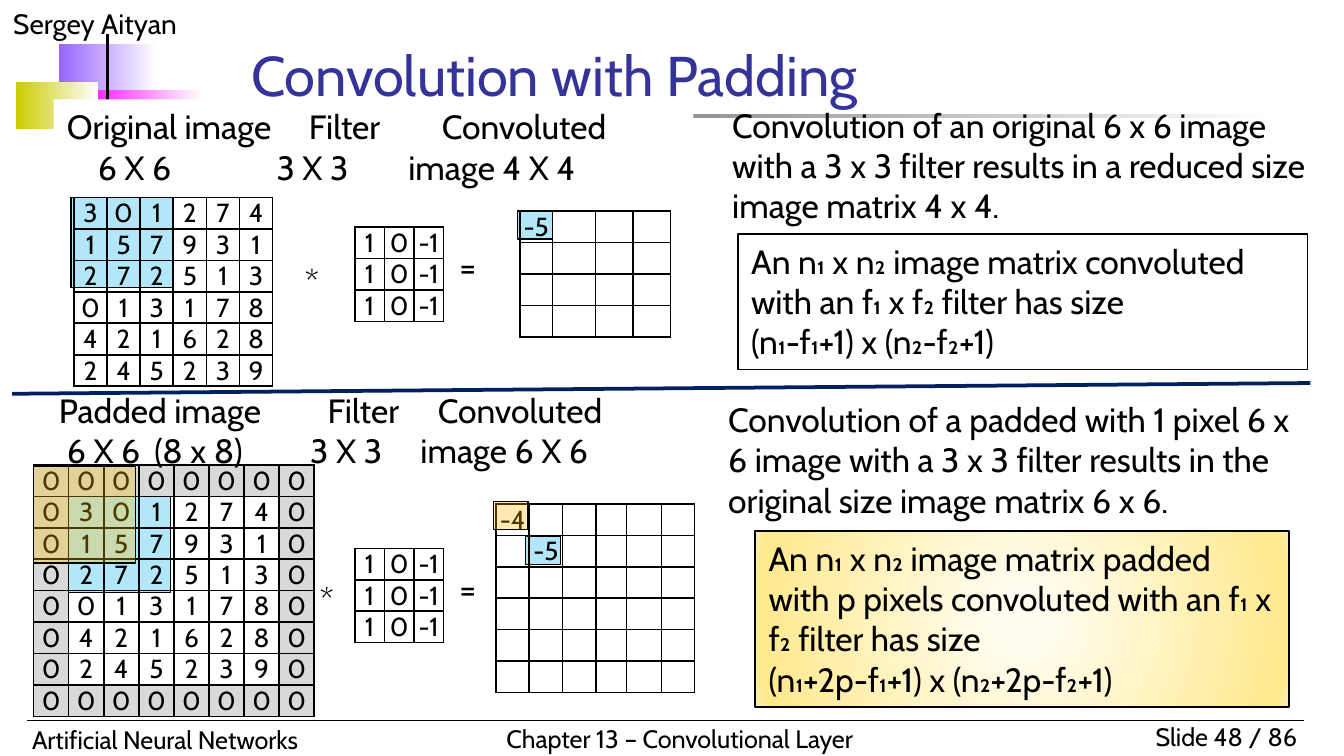
"""Build the slide that compares convolution with and without padding."""
from lxml import etree
from pptx import Presentation
from pptx.dml.color import RGBColor
from pptx.enum.shapes import MSO_CONNECTOR, MSO_SHAPE
from pptx.enum.text import MSO_ANCHOR, PP_ALIGN
from pptx.oxml.ns import qn
from pptx.util import Inches, Pt

LEFT, CENTER, RIGHT = PP_ALIGN.LEFT, PP_ALIGN.CENTER, PP_ALIGN.RIGHT
TOP, BOTTOM = MSO_ANCHOR.TOP, MSO_ANCHOR.BOTTOM
RECTANGLE, STRAIGHT = MSO_SHAPE.RECTANGLE, MSO_CONNECTOR.STRAIGHT

THEME = {
    "font": "Cabin", "title": 30, "body": 18, "author": 15, "cell": 14, "footer": 13.5,
    "ink": "000000", "heading": "333399", "paper": "FFFFFF", "divider": "002060",
    "padding": "D9D9D9", "blue": "00B0F0", "amber": "FFC000",
    "glow": [(8, "FFFDF2"), (95, "FFE98D"), (100, "FFF1B3")],
}

IMAGE = ["301274", "157931", "272513", "013178", "421628", "245239"]
PADDED = ["0" * 8] + [f"0{row}0" for row in IMAGE] + ["0" * 8]
FILTER = [["1", "0", "-1"]] * 3
REDUCED = [["-5", "", "", ""]] + [[""] * 4] * 3
SAME_SIZE = [["-4"] + [""] * 5, ["", "-5"] + [""] * 4] + [[""] * 6] * 4

ORNAMENTS = [
    ((0.44, 0.33, 0.73, 0.39), "9966FF"),
    ((0.57, 0.67, 0.93, 0.39), "FF00FF"),
    ((0.12, 0.61, 0.61, 0.35), "CCCC00"),
    ((0.48, 0.85, 9, 0.03), "1C1C1C"),
]
FRAME_TEXTS = [
    ("Sergey Aityan", (0, 0, 2.5, 0.35), {"size": THEME["author"]}),
    ("Slide 48 / 86", (8.25, 5.32, 1.5, 0.33), {"size": THEME["footer"], "align": RIGHT}),
    ("Artificial Neural Networks", (0.14, 5.34, 3.7, 0.33), {"size": THEME["footer"]}),
    ("Chapter 13 – Convolutional Layer", (3.67, 5.33, 2.99, 0.33),
     {"size": THEME["footer"], "wrap": False}),
    ("Convolution with Padding", (1.77, 0.31, 6.73, 0.54),
     {"size": THEME["title"], "color": THEME["heading"], "anchor": BOTTOM}),
]
BODY_TEXTS = [
    ("Convolution of an original 6 x 6 image with a 3 x 3 filter results in "
     "a reduced size image matrix 4 x 4.", (5.35, 0.73, 4.56, 1.01)),
    ("Convolution of a padded with 1 pixel 6 x 6 image with a 3 x 3 filter results in "
     "the original size image matrix 6 x 6.", (5.32, 2.92, 4.52, 1.01)),
    ("*", (2.17, 1.89, 0.44, 0.4)),
    ("=", (3.32, 1.78, 0.44, 0.4)),
    ("*", (2.28, 4.26, 0.44, 0.4)),
    ("=", (3.32, 4.18, 0.44, 0.4)),
]
ORIGINAL_HEADING = ("Original image\tFilter\tConvoluted\n\t6 X 6\t3 X 3\timage 4 X 4",
                    (0.4, 0.74, 4.76, 0.71), [(1.8, 2.79), (0.23, 1.56, 2.54)])
PADDED_HEADING = ("Padded image\tFilter\tConvoluted\n\t6 X 6\t(8 x 8)\t3 X 3\timage 6 X 6",
                  (0.34, 2.85, 4.76, 0.71), [(2, 2.82), (0.06, 0.71, 1.87, 2.69)])
MATRICES = [
    (FILTER, (2.64, 1.69), 0.66, [1] * 3),
    (REDUCED, (3.87, 1.57), 1.12, [0.24, 0.32, 0.28, 0.28]),
    (SAME_SIZE, (3.69, 3.75), 1.48, [0.25, 0.25, 0.25, 0.23, 0.26, 0.25]),
    (FILTER, (2.64, 4.08), 0.66, [1] * 3),
    (PADDED, (0.25, 3.46), 2.09, [1] * 8),
    (IMAGE, (0.55, 1.47), 1.48, [1] * 6),
]
ROW_HEIGHT = 0.23
BLUE_WINDOWS = [(3.85, 1.57, 0.26, 0.21), (0.53, 1.47, 0.76, 0.67),
                (0.51, 3.69, 0.76, 0.72), (3.91, 3.99, 0.26, 0.21)]
AMBER_WINDOWS = [(0.25, 3.47, 0.76, 0.72), (3.67, 3.73, 0.26, 0.21)]
PADDED_RULE = ("An n₁ x n₂ image matrix padded with p pixels convoluted with an f₁ x f₂ "
               "filter has size \v(n₁+2p-f₁+1) x (n₂+2p-f₂+1)", (5.62, 3.95, 3.97, 1.31))
PLAIN_RULE = ("An n₁ x n₂ image matrix convoluted with an f₁ x f₂ filter has size "
              "\v(n₁-f₁+1) x (n₂-f₂+1)", (5.49, 1.74, 4.24, 1.01))


def inches(values):
    return [Inches(value) for value in values]


def add_xml(parent, tag, **attributes):
    values = {name: str(value) for name, value in attributes.items()}
    return etree.SubElement(parent, qn(tag), values)


def write(frame, text, size=THEME["body"], color=THEME["ink"], align=LEFT,
          anchor=TOP, wrap=True, tabs=()):
    frame.word_wrap, frame.vertical_anchor = wrap, anchor
    frame.text = text
    for index, para in enumerate(frame.paragraphs):
        para.alignment = align
        if tabs:
            stops = add_xml(para._p.get_or_add_pPr(), "a:tabLst")
            for position in tabs[index]:
                add_xml(stops, "a:tab", pos=Inches(position), algn="l")
        for span in para.runs:
            span.font.name, span.font.size = THEME["font"], Pt(size)
            span.font.color.rgb = RGBColor.from_string(color)


def add_text(page, text, place, **style):
    write(page.shapes.add_textbox(*inches(place)).text_frame, text, **style)


def add_box(page, place, fill=None, line=None, alpha=None):
    box = page.shapes.add_shape(RECTANGLE, *inches(place))
    box.shadow.inherit = False
    if fill:
        box.fill.solid()
        box.fill.fore_color.rgb = RGBColor.from_string(fill)
    else:
        box.fill.background()
    if alpha:
        solid = box._element.spPr.find(qn("a:solidFill"))
        add_xml(solid[0], "a:alpha", val=alpha * 1000)
    if line:
        box.line.color.rgb = RGBColor.from_string(THEME["ink"])
        box.line.width = Pt(line)
    else:
        box.line.fill.background()
    return box


def set_gradient(box, stops, radial=False):
    box.fill.gradient()
    gradient = box._element.spPr.find(qn("a:gradFill"))
    for child in list(gradient):
        gradient.remove(child)
    stop_list = add_xml(gradient, "a:gsLst")
    for position, color in stops:
        add_xml(add_xml(stop_list, "a:gs", pos=position * 1000), "a:srgbClr", val=color)
    if radial:
        circle = add_xml(gradient, "a:path", path="circle")
        add_xml(circle, "a:fillToRect", l=50000, t=50000, r=50000, b=50000)
    else:
        add_xml(gradient, "a:lin", ang=0, scaled=1)


def add_line(page, ends, color, width):
    line = page.shapes.add_connector(STRAIGHT, *inches(ends))
    line.line.color.rgb = RGBColor.from_string(color)
    line.line.width = Pt(width)
    add_xml(line._element.spPr, "a:effectLst")


def format_cell(cell, text, fill):
    cell.margin_left = cell.margin_right = cell.margin_top = cell.margin_bottom = 0
    write(cell.text_frame, text, size=THEME["cell"], align=CENTER)
    if not text:
        add_xml(cell.text_frame.paragraphs[0]._p, "a:endParaRPr", sz=THEME["cell"] * 100)
    properties = cell._tc.get_or_add_tcPr()
    for side in ("a:lnL", "a:lnR", "a:lnT", "a:lnB"):
        border = add_xml(properties, side, w=Pt(1))
        add_xml(add_xml(border, "a:solidFill"), "a:srgbClr", val=THEME["ink"])
    if fill:
        cell.fill.solid()
        cell.fill.fore_color.rgb = RGBColor.from_string(fill)
    else:
        cell.fill.background()


def add_matrix(page, rows, corner, width, shares):
    size = (width, ROW_HEIGHT * len(rows))
    table = page.shapes.add_table(len(rows), len(shares), *inches(corner + size)).table
    table.first_row = table.horz_banding = False
    for column, share in zip(table.columns, shares):
        column.width = Inches(width * share / sum(shares))
    for r, row in enumerate(rows):
        for c, text in enumerate(row):
            edge = r in (0, len(rows) - 1) or c in (0, len(row) - 1)
            fill = THEME["padding"] if rows is PADDED and edge else None
            format_cell(table.cell(r, c), text, fill)


def main():
    deck = Presentation()
    deck.slide_width = Inches(10)
    deck.slide_height = deck.slide_width * 9 // 16
    page = deck.slides.add_slide(deck.slide_layouts[6])
    for place, color in ORNAMENTS:
        set_gradient(add_box(page, place), [(0, color), (100, THEME["paper"])])
    add_line(page, (0.2, 5.36, 9.7, 5.36), THEME["ink"], 0.75)
    add_line(page, (0.8, 0.25, 0.8, 1.05), THEME["ink"], 2)
    for text, place, style in FRAME_TEXTS:
        add_text(page, text, place, **style)
    for text, place in BODY_TEXTS:
        add_text(page, text, place)
    text, place, tabs = ORIGINAL_HEADING
    write(add_box(page, place, THEME["paper"]).text_frame, text, tabs=tabs)
    for place in BLUE_WINDOWS:
        add_box(page, place, THEME["blue"], 0.75, alpha=30)
    for matrix in MATRICES:
        add_matrix(page, *matrix)
    for place in AMBER_WINDOWS:
        add_box(page, place, THEME["amber"], 0.75, alpha=30)
    text, place, tabs = PADDED_HEADING
    add_text(page, text, place, tabs=tabs)
    add_line(page, (9.75, 2.85, 0.09, 2.93), THEME["divider"], 2)
    text, place = PADDED_RULE
    box = add_box(page, place, line=1)
    set_gradient(box, THEME["glow"], radial=True)
    write(box.text_frame, text)
    text, place = PLAIN_RULE
    write(add_box(page, place, line=0.75).text_frame, text)
    deck.save("out.pptx")


if __name__ == "__main__":
    main()
